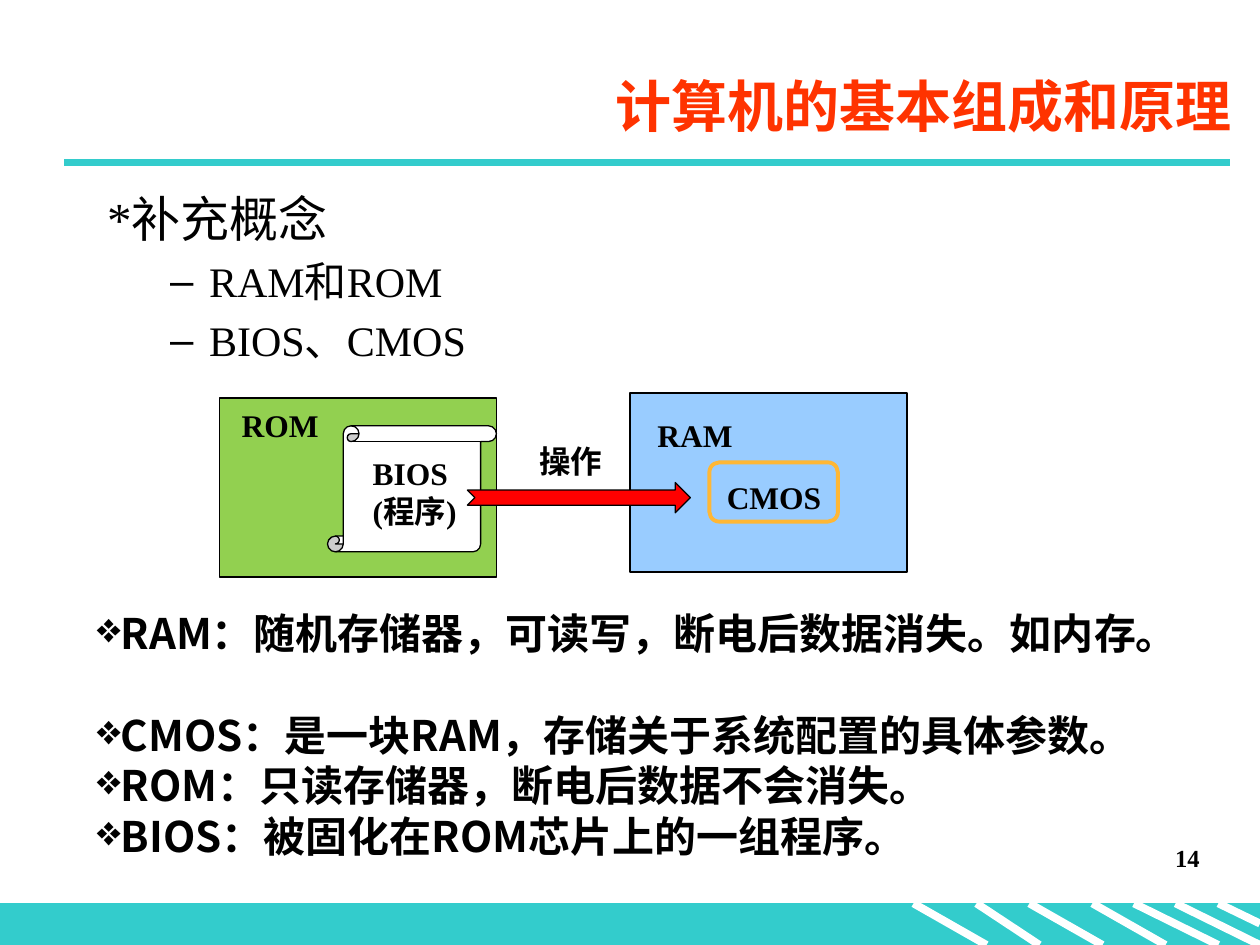
from dataclasses import dataclass

from lxml.etree import SubElement
from pptx import Presentation
from pptx.dml.color import RGBColor
from pptx.enum.shapes import MSO_CONNECTOR as Connector, MSO_SHAPE as Shape
from pptx.enum.text import MSO_ANCHOR as Anchor, MSO_AUTO_SIZE as AutoSize, PP_ALIGN as Align
from pptx.oxml.ns import qn
from pptx.util import Inches, Pt


@dataclass(frozen=True)
class Theme:
    teal: str = "33CCCC"
    white: str = "FFFFFF"
    black: str = "000000"
    title: str = "FF3300"
    rom: str = "92D050"
    ram: str = "99CCFF"
    arrow: str = "FF0000"
    cmos: str = "FFB735"
    serif: str = "Times New Roman"
    sans: str = "Noto Sans CJK SC"
    title_size: float = 32
    heading_size: float = 28
    text_size: float = 24
    label_size: float = 18
    number_size: float = 14
    leading: float = 1.21
    thin: float = 0.75
    frame: float = 2.25
    thick: float = 4.5


class SlideBuilder:
    def __init__(self, slide, theme):
        self.slide = slide
        self.theme = theme

    def place(self, item, box):
        item.left, item.top, item.width, item.height = map(Inches, box)

    def format(self, paragraph, size, bold=False, color=None, face=None, align=Align.LEFT):
        paragraph.alignment = align
        paragraph.line_spacing = Pt(round(size * self.theme.leading, 1))
        paragraph.space_before = Pt(0)
        for run in paragraph.runs:
            font = run.font
            font.size, font.bold = Pt(size), bold
            font.name = face or self.theme.serif
            font.color.rgb = RGBColor.from_string(color or self.theme.black)
            SubElement(font._element, qn("a:ea"), typeface=self.theme.sans)

    def bullet(self, paragraph, mark=None, margin=0, indent=0):
        properties = paragraph._p.get_or_add_pPr()
        properties.set("marL", str(Inches(margin)))
        properties.set("indent", str(Inches(indent)))
        if mark:
            SubElement(properties, qn("a:buChar"), char=mark)
        else:
            SubElement(properties, qn("a:buNone"))

    def title(self, text, box):
        heading = self.slide.shapes.title
        self.place(heading, box)
        frame = heading.text_frame
        frame.text = text
        frame.auto_size = AutoSize.NONE
        frame.vertical_anchor = Anchor.MIDDLE
        self.format(frame.paragraphs[0], self.theme.title_size, True,
                    self.theme.title, align=Align.RIGHT)

    def outline(self, heading, topics, box):
        body = self.slide.placeholders[1]
        self.place(body, box)
        frame = body.text_frame
        frame.text = "\n".join([heading, *topics])
        frame.auto_size = AutoSize.NONE
        first, *rest = frame.paragraphs
        self.bullet(first)
        self.format(first, self.theme.heading_size)
        for topic in rest:
            topic.level = 1
            self.bullet(topic, "–", 0.81, -0.31)
            self.format(topic, self.theme.text_size)
            topic.space_before = Pt(self.theme.text_size * 0.2)

    def text(self, text, box, size, face=None, align=Align.LEFT, mark=None):
        textbox = self.slide.shapes.add_textbox(*map(Inches, box))
        frame = textbox.text_frame
        frame.word_wrap = True
        frame.text = text
        for paragraph in frame.paragraphs:
            if mark:
                self.bullet(paragraph, mark)
            self.format(paragraph, size, True, face=face, align=align)
        return frame

    def label(self, text, box):
        return self.text(text, box, self.theme.label_size)

    def shape(self, kind, box, fill=None, line=None, weight=None):
        shape = self.slide.shapes.add_shape(kind, *map(Inches, box))
        shape.shadow.inherit = False
        if fill:
            shape.fill.solid()
            shape.fill.fore_color.rgb = RGBColor.from_string(fill)
        else:
            shape.fill.background()
        shape.line.color.rgb = RGBColor.from_string(line or self.theme.black)
        shape.line.width = Pt(weight or self.theme.thin)
        return shape

    def line(self, start, end, color):
        rule = self.slide.shapes.add_connector(
            Connector.STRAIGHT, *map(Inches, (*start, *end)))
        rule.line.color.rgb = RGBColor.from_string(color)
        rule.line.width = Pt(self.theme.thick)
        SubElement(rule._element.spPr, qn("a:effectLst"))


def main():
    theme = Theme()
    deck = Presentation()
    deck.slide_width, deck.slide_height = Inches(10), Inches(7.5)
    builder = SlideBuilder(deck.slides.add_slide(deck.slide_layouts[1]), theme)

    # Footer band with slanted stripes
    band_top = 7.17
    builder.shape(Shape.RECTANGLE, (0, band_top, 10, 0.33), theme.teal, theme.teal)
    stripes = [(7.75, 8.25, 7.5), (7.25, 7.83, 7.5), (8.17, 8.75, 7.5), (9.33, 10, 7.5),
               (9, 9.67, 7.5), (9.67, 10, 7.33), (8.67, 9.25, 7.5)]
    for left, right, bottom in stripes:
        builder.line((left, band_top), (right, bottom), theme.white)

    # Title, its rule and the outline
    builder.line((0.51, 1.29), (9.76, 1.29), theme.teal)
    builder.title("计算机的基本组成和原理", (1.38, 0.44, 8.5, 0.79))
    builder.outline("*补充概念", ["RAM和ROM", "BIOS、CMOS"], (0.75, 1.44, 8.5, 5.04))
    builder.text("14", (7.54, 6.64, 2.08, 0.5), theme.number_size, align=Align.RIGHT)

    # ROM holding the BIOS program
    builder.shape(Shape.RECTANGLE, (1.74, 3.16, 2.2, 1.42), theme.rom)
    builder.label("ROM", (1.82, 3.17, 1.1, 0.4))
    builder.shape(Shape.VERTICAL_SCROLL, (2.6, 3.38, 1.34, 1), theme.white)
    builder.label("BIOS\n(程序)", (2.86, 3.55, 1.09, 0.71))

    # RAM with the CMOS block, and the operation arrow
    builder.shape(Shape.RECTANGLE, (5, 3.12, 2.2, 1.42), theme.ram)
    builder.label("RAM", (5.12, 3.25, 1.1, 0.4))
    builder.label("CMOS", (5.67, 3.74, 1.1, 0.41))
    builder.shape(Shape.NOTCHED_RIGHT_ARROW, (3.71, 3.83, 1.77, 0.24), theme.arrow)
    builder.label("操作", (4.18, 3.46, 0.71, 0.4))

    # Definitions, with one line of space after the first
    definitions = builder.text(
        "RAM：随机存储器，可读写，断电后数据消失。如内存。\n"
        "CMOS：是一块RAM，存储关于系统配置的具体参数。\n"
        "ROM：只读存储器，断电后数据不会消失。\n"
        "BIOS：被固化在ROM芯片上的一组程序。",
        (0.67, 4.77, 8.9, 1.72), theme.text_size, theme.sans, mark="❖")
    definitions.margin_right = 0
    definitions.paragraphs[0].space_after = Pt(29)

    # Frame around CMOS
    builder.shape(Shape.ROUNDED_RECTANGLE, (5.63, 3.67, 1.02, 0.47),
                  line=theme.cmos, weight=theme.frame)

    deck.save("out.pptx")


if __name__ == "__main__":
    main()
